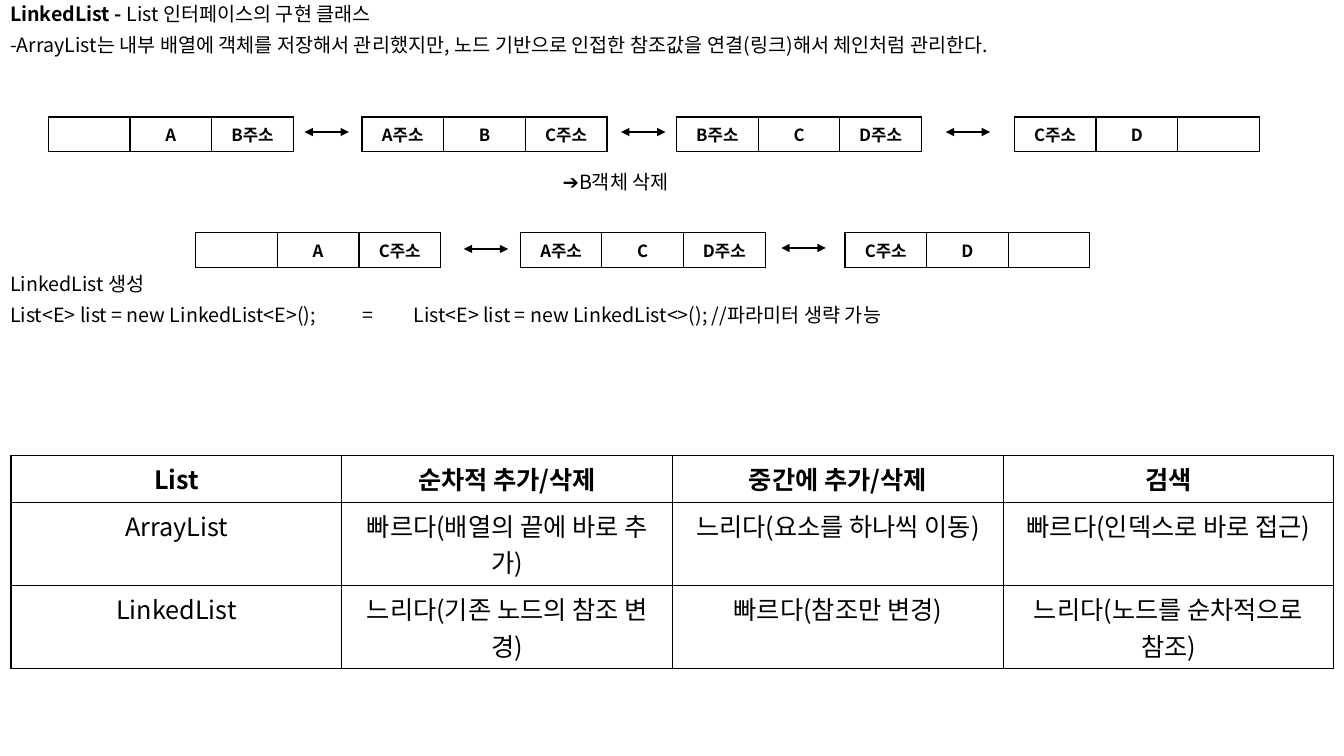
from dataclasses import dataclass
from typing import Any

import lxml.etree
import pptx
import pptx.dml.color
import pptx.enum.shapes
import pptx.enum.text
import pptx.oxml.ns
import pptx.util

EMU_PER_PX = 9144  # 100 px to the inch


@dataclass(frozen=True)
class Theme:
    font: str = "Noto Sans CJK KR"
    ink: str = "000000"
    paper: str = "FFFFFF"
    body_size: int = 14
    node_size: int = 12
    comparison_size: int = 18
    border_width: float = 1
    arrow_width: float = 1.5
    line_spacing: float = 0.9
    paragraph_gap: int = 7
    line_pitch: float = 25.2


@dataclass(frozen=True)
class Span:
    text: str
    bold: bool = False


@dataclass(frozen=True)
class Line:
    spans: tuple[Span, ...]
    skipped_lines: int = 0
    indent: int = 0
    tab_stops: tuple[int, ...] = ()


@dataclass(frozen=True)
class Node:
    left: int
    top: int
    cells: tuple[str, str, str]


@dataclass(frozen=True)
class Arrow:
    left: int
    middle: int


THEME = Theme()
SLIDE_WIDTH, SLIDE_HEIGHT = 1333, 750
NODE_COLUMN, NODE_HEIGHT, ARROW_LENGTH = 81, 30, 44

LINES = (
    Line((Span("LinkedList - ", True), Span("List 인터페이스의 구현 클래스"))),
    Line((Span("-ArrayList는 내부 배열에 객체를 저장해서 관리했지만, "
               "노드 기반으로 인접한 참조값을 연결(링크)해서 체인처럼 관리한다."),)),
    Line((Span("➔B객체 삭제"),), skipped_lines=3, indent=548),
    Line((Span("LinkedList 생성"),), skipped_lines=2),
    Line((Span("List<E> list = new LinkedList<E>();\t=\t"
               "List<E> list = new LinkedList<>(); //파라미터 생략 가능"),),
         tab_stops=(400, 504)),
)
NODES = (
    Node(48, 116, ("", "A", "B주소")),
    Node(359, 116, ("A주소", "B", "C주소")),
    Node(671, 116, ("B주소", "C", "D주소")),
    Node(1006, 116, ("C주소", "D", "")),
    Node(194, 231, ("", "A", "C주소")),
    Node(516, 231, ("A주소", "C", "D주소")),
    Node(838, 231, ("C주소", "D", "")),
)
ARROWS = (Arrow(302, 131), Arrow(616, 131), Arrow(938, 131),
          Arrow(460, 247), Arrow(775, 246))
COMPARISON = (
    ("List", "순차적 추가/삭제", "중간에 추가/삭제", "검색"),
    ("ArrayList", "빠르다(배열의 끝에 바로 추가)",
     "느리다(요소를 하나씩 이동)", "빠르다(인덱스로 바로 접근)"),
    ("LinkedList", "느리다(기존 노드의 참조 변경)",
     "빠르다(참조만 변경)", "느리다(노드를 순차적으로 참조)"),
)


def px(length: int) -> pptx.util.Emu:
    return pptx.util.Emu(length * EMU_PER_PX)


def rgb(colour: str) -> pptx.dml.color.RGBColor:
    return pptx.dml.color.RGBColor.from_string(colour)


def add_child(parent: Any, tag: str, **attributes: str) -> Any:
    child = lxml.etree.SubElement(parent, pptx.oxml.ns.qn(tag))
    for name, value in attributes.items():
        child.set(name, value)
    return child


def add_span(para: Any, span: Span, size: int) -> None:
    run = para.add_run()
    run.text = span.text
    run.font.size = pptx.util.Pt(size)
    run.font.bold = span.bold
    run.font.color.rgb = rgb(THEME.ink)
    run.font.name = THEME.font
    add_child(run.font._element, "a:ea", typeface=THEME.font)


def fill_body(body: Any) -> None:
    body.left, body.top = px(0), px(0)
    body.width, body.height = px(SLIDE_WIDTH), px(SLIDE_HEIGHT)
    frame = body.text_frame
    frame.word_wrap = True
    frame.auto_size = pptx.enum.text.MSO_AUTO_SIZE.NONE
    frame.vertical_anchor = pptx.enum.text.MSO_ANCHOR.TOP
    for index, line in enumerate(LINES):
        para = frame.add_paragraph() if index else frame.paragraphs[0]
        para.line_spacing = THEME.line_spacing
        gap = THEME.paragraph_gap + line.skipped_lines * THEME.line_pitch
        para.space_before = pptx.util.Pt(gap if index else 0)
        properties = para._p.get_or_add_pPr()
        properties.set("marL", str(px(line.indent)))
        properties.set("indent", "0")
        add_child(properties, "a:buNone")
        if line.tab_stops:
            stops = add_child(properties, "a:tabLst")
            for stop in line.tab_stops:
                add_child(stops, "a:tab", pos=str(px(stop)), algn="l")
        for span in line.spans:
            add_span(para, span, THEME.body_size)


def outline_cell(cell: Any) -> None:
    properties = cell._tc.get_or_add_tcPr()
    for index, side in enumerate(("a:lnL", "a:lnR", "a:lnT", "a:lnB")):
        width = str(pptx.util.Pt(THEME.border_width))
        border = add_child(properties, side, w=width)
        add_child(add_child(border, "a:solidFill"), "a:srgbClr", val=THEME.ink)
        properties.insert(index, border)


def add_grid(page: Any, left: int, top: int, column_width: int,
             row_heights: tuple[int, ...], rows: tuple[tuple[str, ...], ...],
             size: int) -> None:
    """Add a bordered white table whose first row is bold."""
    columns = len(rows[0])
    table = page.shapes.add_table(
        len(rows), columns, px(left), px(top),
        px(column_width * columns), px(sum(row_heights))).table
    table.horz_banding = False
    for column in table.columns:
        column.width = px(column_width)
    for row_index, texts in enumerate(rows):
        table.rows[row_index].height = px(row_heights[row_index])
        for column_index, text in enumerate(texts):
            cell = table.cell(row_index, column_index)
            cell.fill.solid()
            cell.fill.fore_color.rgb = rgb(THEME.paper)
            outline_cell(cell)
            para = cell.text_frame.paragraphs[0]
            para.alignment = pptx.enum.text.PP_ALIGN.CENTER
            if text:
                add_span(para, Span(text, row_index == 0), size)
            else:
                add_child(para._p, "a:endParaRPr", sz=str(size * 100))


def add_arrow(page: Any, arrow: Arrow) -> None:
    connector = page.shapes.add_connector(
        pptx.enum.shapes.MSO_CONNECTOR.STRAIGHT, px(arrow.left), px(arrow.middle),
        px(arrow.left + ARROW_LENGTH), px(arrow.middle))
    connector.line.color.rgb = rgb(THEME.ink)
    connector.line.width = pptx.util.Pt(THEME.arrow_width)
    for end in ("a:headEnd", "a:tailEnd"):
        add_child(connector.line._get_or_add_ln(), end, type="triangle")
    add_child(connector._element.spPr, "a:effectLst")


def main() -> None:
    deck = pptx.Presentation()
    deck.slide_width, deck.slide_height = px(SLIDE_WIDTH), px(SLIDE_HEIGHT)
    page = deck.slides.add_slide(deck.slide_layouts[1])
    title = page.shapes.title._element
    title.getparent().remove(title)
    fill_body(page.placeholders[1])
    for node in NODES:
        add_grid(page, node.left, node.top, NODE_COLUMN, (NODE_HEIGHT,),
                 (node.cells,), THEME.node_size)
    for arrow in ARROWS:
        add_arrow(page, arrow)
    add_grid(page, 11, 452, 328, (45, 82, 82), COMPARISON, THEME.comparison_size)
    deck.save("out.pptx")


if __name__ == "__main__":
    main()
